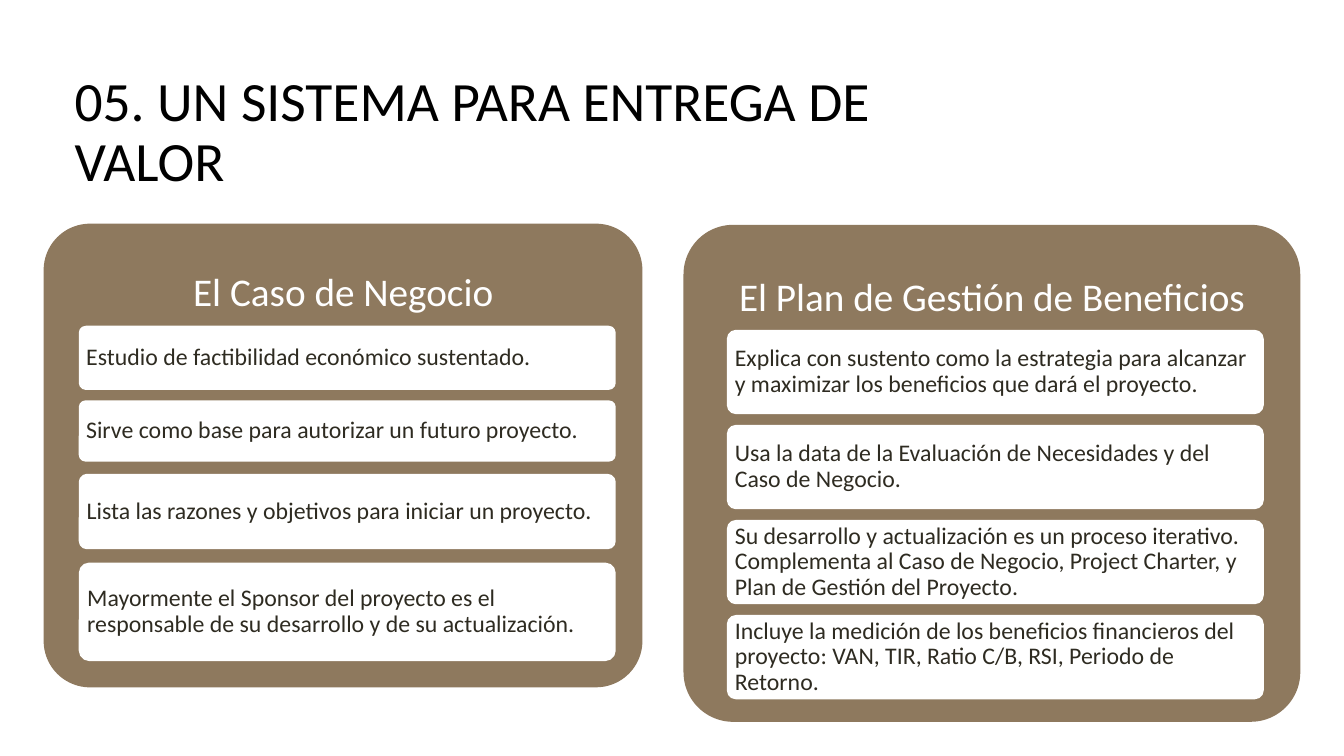
import pptx
import pptx.dml.color
import pptx.enum.shapes
import pptx.enum.text
import pptx.util

Pt = pptx.util.Pt
ALIGN = pptx.enum.text.PP_ALIGN
FONT = "Calibri"
COLORS = {"panel": "8E795E", "white": "FFFFFF", "card_text": "2E2B21", "title": "000000"}

CARD_WIDTH = 382.3
CASE_CARDS = [  # top, height, text
    (233.3, 44.6, "Estudio de factibilidad económico sustentado."),
    (286.6, 42.5, "Sirve como base para autorizar un futuro proyecto."),
    (339.1, 52.6, "Lista las razones y objetivos para iniciar un proyecto."),
    (402.5, 69.1, "Mayormente el Sponsor del proyecto es el responsable de su desarrollo "
                  "y de su actualización."),
]
PLAN_TOP, PLAN_STEP, PLAN_HEIGHT = 236.2, 67.9, 59
PLAN_TEXTS = [
    "Explica con sustento como la estrategia para alcanzar y maximizar los beneficios "
    "que dará el proyecto.",
    "Usa la data de la Evaluación de Necesidades y del Caso de Negocio.",
    "Su desarrollo y actualización es un proceso iterativo. Complementa al Caso de "
    "Negocio, Project Charter, y Plan de Gestión del Proyecto.",
    "Incluye la medición de los beneficios financieros del proyecto: VAN, TIR, "
    "Ratio C/B, RSI, Periodo de Retorno.",
]


def color(name):
    return pptx.dml.color.RGBColor.from_string(COLORS[name])


def write_text(shape, text, size, color_name, alignment, margins):
    frame = shape.text_frame
    frame.word_wrap = True
    frame.auto_size = pptx.enum.text.MSO_AUTO_SIZE.NONE
    frame.vertical_anchor = pptx.enum.text.MSO_ANCHOR.MIDDLE
    horizontal, vertical = margins
    frame.margin_left = frame.margin_right = Pt(horizontal)
    frame.margin_top = frame.margin_bottom = Pt(vertical)
    paragraph = frame.paragraphs[0]
    paragraph.alignment = alignment
    paragraph.line_spacing = 0.9
    run = paragraph.add_run()
    run.text = text
    run.font.size = Pt(size)
    run.font.name = FONT
    run.font.color.rgb = color(color_name)


def add_title(slide, text):
    title = slide.shapes.title
    title.left, title.top, title.width, title.height = Pt(46.1), Pt(55.4), Pt(671.8), Pt(79.9)
    write_text(title, text, 39.6, "title", ALIGN.LEFT, (7.2, 3.6))


def add_rounded(slide, box, fill_name):
    shape = slide.shapes.add_shape(
        pptx.enum.shapes.MSO_SHAPE.ROUNDED_RECTANGLE, *map(Pt, box))
    shape.adjustments[0] = 0.1
    shape.shadow.inherit = False
    shape.fill.solid()
    shape.fill.fore_color.rgb = color(fill_name)
    return shape


def add_panel(slide, box, heading, heading_height):
    panel = add_rounded(slide, box, "panel")
    panel.line.fill.background()
    left, top, width, _ = box
    heading_box = slide.shapes.add_textbox(
        Pt(left + 3), Pt(top + 3), Pt(width - 6), Pt(heading_height))
    write_text(heading_box, heading, 28, "white", ALIGN.CENTER, (8.4, 8.4))


def add_card(slide, left, top, height, text):
    card = add_rounded(slide, (left, top, CARD_WIDTH, height), "white")
    card.line.color.rgb = color("white")
    card.line.width = Pt(1.25)
    write_text(card, text, 17, "card_text", ALIGN.LEFT, (3.4, 2.6))


def main():
    presentation = pptx.Presentation()
    presentation.slide_width, presentation.slide_height = Pt(960), Pt(540)
    slide = presentation.slides.add_slide(presentation.slide_layouts[5])
    add_title(slide, "05. UN SISTEMA PARA ENTREGA DE VALOR")

    # Business case
    add_panel(slide, (31.2, 159.8, 427.7, 331.2), "El Caso de Negocio", 93.6)
    for top, height, text in CASE_CARDS:
        add_card(slide, 56.9, top, height, text)

    # Benefits management plan
    add_panel(slide, (488.2, 160.6, 440.6, 355), "El Plan de Gestión de Beneficios", 100.1)
    for index, text in enumerate(PLAN_TEXTS):
        add_card(slide, 519.8, PLAN_TOP + index * PLAN_STEP, PLAN_HEIGHT, text)

    presentation.save("out.pptx")


if __name__ == "__main__":
    main()
